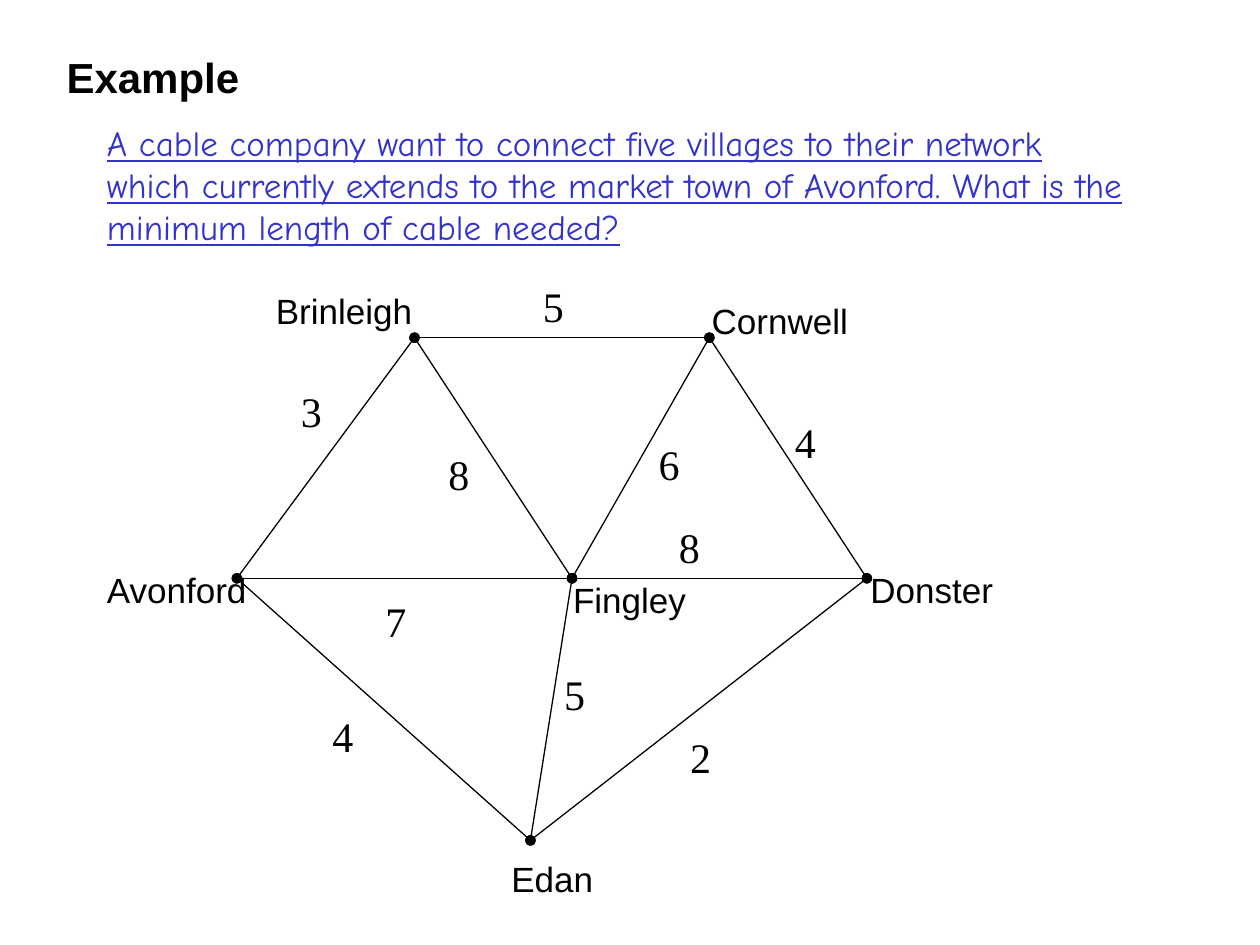
from lxml.etree import SubElement
from pptx import Presentation
from pptx.dml.color import RGBColor
from pptx.enum.text import MSO_ANCHOR
from pptx.oxml.ns import qn
from pptx.util import Inches, Pt

BLACK = RGBColor(0x00, 0x00, 0x00)
BLUE = RGBColor(0x33, 0x33, 0xCC)

HEADING = "Example"
QUESTION = (
    "A cable company want to connect five villages to their network",
    "which currently extends to the market town of Avonford. "
    "What is the minimum length of cable needed?",
)

# Village: (node x, node y), (label left, label top, label width), in inches
VILLAGES = {
    "Avonford": ((1.88, 4.59), (0.75, 4.46, 1.34)),
    "Fingley": ((4.54, 4.59), (4.45, 4.54, 1.16)),
    "Brinleigh": ((3.29, 2.68), (2.09, 2.25, 1.29)),
    "Cornwell": ((5.63, 2.68), (5.55, 2.33, 1.42)),
    "Donster": ((6.88, 4.59), (6.81, 4.46, 1.51)),
    "Edan": ((4.21, 6.67), (3.96, 6.76, 1.04)),
}

# Start, end, cable length, (left, top) of the length label
CABLES = [
    ("Avonford", "Brinleigh", 3, (2.29, 3.01)),
    ("Brinleigh", "Cornwell", 5, (4.21, 2.18)),
    ("Cornwell", "Donster", 4, (6.21, 3.26)),
    ("Avonford", "Fingley", 7, (2.96, 4.68)),
    ("Fingley", "Donster", 8, (5.29, 4.09)),
    ("Brinleigh", "Fingley", 8, (3.46, 3.51)),
    ("Fingley", "Cornwell", 6, (5.13, 3.43)),
    ("Avonford", "Edan", 4, (2.54, 5.59)),
    ("Edan", "Fingley", 5, (4.38, 5.26)),
    ("Edan", "Donster", 2, (5.38, 5.76)),
]


def add_text(shapes, lines, place, size, font_name, color=BLACK, wrap=True):
    box = shapes.add_textbox(*map(Inches, place))
    box.text_frame.word_wrap = wrap
    para = box.text_frame.paragraphs[0]
    for index, line in enumerate(lines):
        if index:
            para.add_line_break()
        para.add_run().text = line
    font = para.font
    font.size, font.name = Pt(size), font_name
    font.color.rgb = color
    return box


def add_cable(shapes, start, end):
    cable = shapes.add_connector(1, *map(Inches, start + end))
    cable.line.color.rgb = BLACK
    cable.line.width = Pt(0.75)
    line = cable.line._get_or_add_ln()
    for tag in ("a:headEnd", "a:tailEnd"):
        SubElement(line, qn(tag), type="oval")
    SubElement(cable._element.spPr, qn("a:effectLst"))


deck = Presentation()
deck.slide_width, deck.slide_height = Inches(10), Inches(7.5)
page = deck.slides.add_slide(deck.slide_layouts[6])

# Question
question = add_text(page.shapes, QUESTION, (0.75, 0.84, 8.5, 1.25), 20, "Comic Neue", BLUE)
question.text_frame.vertical_anchor = MSO_ANCHOR.MIDDLE
question.text_frame.paragraphs[0].font.underline = True

# Network: cables, village names, cable lengths
network = page.shapes.add_group_shape().shapes
for start, end, _, _ in CABLES:
    add_cable(network, VILLAGES[start][0], VILLAGES[end][0])
for village, (_, (left, top, width)) in VILLAGES.items():
    add_text(network, [village], (left, top, width, 0.44), 20, "Arial")
for _, _, length, corner in CABLES:
    add_text(network, [str(length)], corner + (0.5, 0.5), 24, "Times New Roman")

# Heading
heading = add_text(page.shapes, [HEADING], (0.43, 0.36, 1.57, 0.5), 24, "Arial", wrap=False)
heading.text_frame.paragraphs[0].font.bold = True

deck.save("out.pptx")
